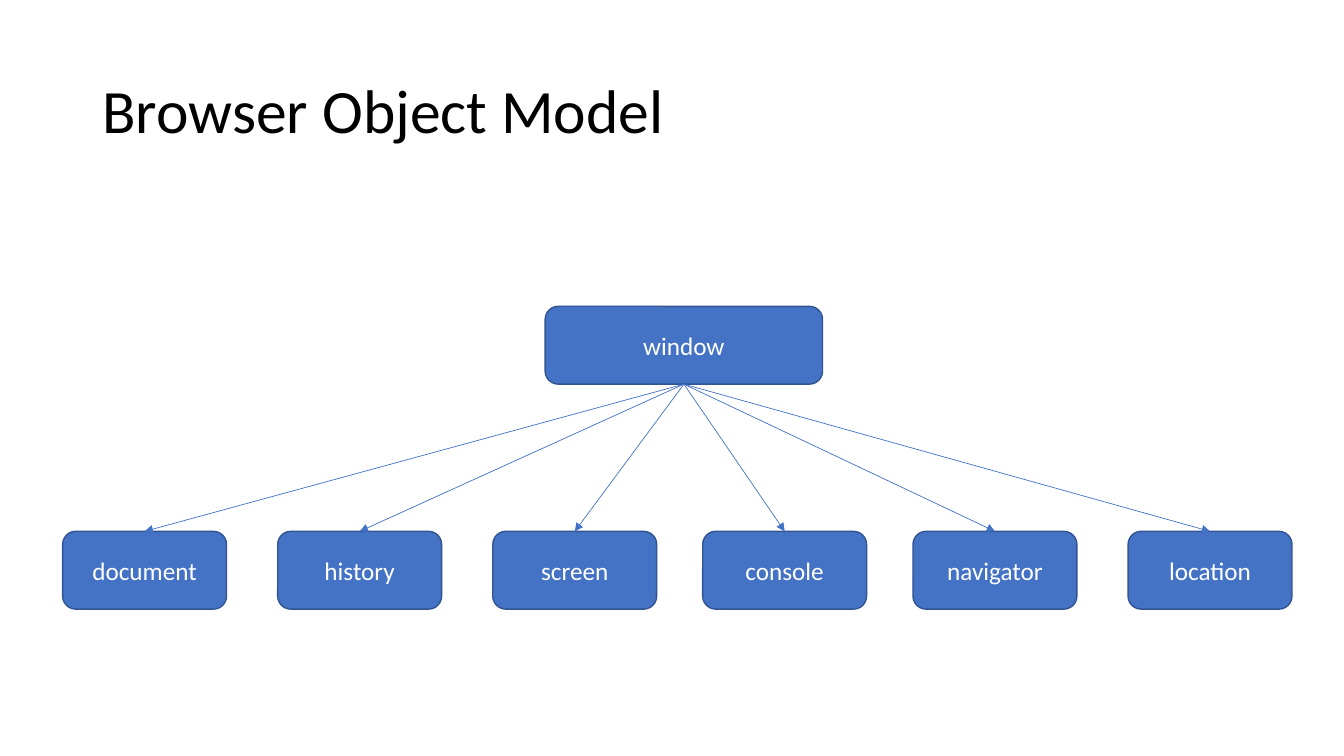
import lxml.etree
import pptx
import pptx.dml.color
import pptx.enum.shapes
import pptx.enum.text
import pptx.oxml.ns
import pptx.util
from pptx.util import Cm

BLUE = pptx.dml.color.RGBColor(0x44, 0x72, 0xC4)
DARK_BLUE = pptx.dml.color.RGBColor(0x32, 0x54, 0x91)
WHITE = pptx.dml.color.RGBColor(0xFF, 0xFF, 0xFF)
BLACK = pptx.dml.color.RGBColor(0x00, 0x00, 0x00)

CENTER = pptx.enum.text.PP_ALIGN.CENTER
LEFT = pptx.enum.text.PP_ALIGN.LEFT
MIDDLE = pptx.enum.text.MSO_ANCHOR.MIDDLE
FIXED = pptx.enum.text.MSO_AUTO_SIZE.NONE

FRAME_FORMAT = {"word_wrap": True, "auto_size": FIXED, "vertical_anchor": MIDDLE}
TITLE_PARAGRAPH = {"alignment": LEFT, "line_spacing": 0.9}
NODE_PARAGRAPH = {"alignment": CENTER}
TITLE_FONT = {"name": "Calibri", "size": pptx.util.Pt(44)}
NODE_FONT = {"name": "Calibri", "size": pptx.util.Pt(18)}

NODE_HEIGHT = Cm(1.96)
CHILD_WIDTH = Cm(4.13)
CHILD_OFFSETS = {
    "document": Cm(0),
    "history": Cm(5.42),
    "screen": Cm(10.84),
    "console": Cm(16.13),
    "navigator": Cm(21.43),
    "location": Cm(26.85),
}


def apply_format(target, values):
    for attribute, value in values.items():
        setattr(target, attribute, value)


def write_text(holder, wording, paragraph_format, font_format, color):
    frame = holder.text_frame
    frame.text = wording
    apply_format(frame, FRAME_FORMAT)
    paragraph = frame.paragraphs[0]
    apply_format(paragraph, paragraph_format)
    font = paragraph.runs[0].font
    apply_format(font, font_format)
    font.color.rgb = color


def place_title(slide, left, top, width, height):
    title = slide.shapes.title
    apply_format(title, {"left": left, "top": top, "width": width, "height": height})
    write_text(title, "Browser Object Model", TITLE_PARAGRAPH, TITLE_FONT, BLACK)


def add_node(slide, wording, left, top, width):
    node = slide.shapes.add_shape(
        pptx.enum.shapes.MSO_SHAPE.ROUNDED_RECTANGLE, left, top, width, NODE_HEIGHT
    )
    node.shadow.inherit = False
    node.fill.solid()
    node.fill.fore_color.rgb = BLUE
    node.line.color.rgb = DARK_BLUE
    node.line.width = pptx.util.Pt(1)
    write_text(node, wording, NODE_PARAGRAPH, NODE_FONT, WHITE)
    return node


def add_arrow(slide, parent, child):
    arrow = slide.shapes.add_connector(
        pptx.enum.shapes.MSO_CONNECTOR.STRAIGHT, 0, 0, 0, 0
    )
    arrow.begin_connect(parent, 2)
    arrow.end_connect(child, 0)
    arrow.line.color.rgb = BLUE
    arrow.line.width = pptx.util.Pt(0.5)
    properties = arrow.element.spPr
    outline = properties.find(pptx.oxml.ns.qn("a:ln"))
    lxml.etree.SubElement(outline, pptx.oxml.ns.qn("a:tailEnd"), type="triangle")
    lxml.etree.SubElement(properties, pptx.oxml.ns.qn("a:effectLst"))


def place_object_tree(slide, left, top, height):
    window = add_node(slide, "window", left + Cm(12.16), top, Cm(6.99))
    children_top = top + height - NODE_HEIGHT
    children = [
        add_node(slide, wording, left + offset, children_top, CHILD_WIDTH)
        for wording, offset in CHILD_OFFSETS.items()
    ]
    for child in children:
        add_arrow(slide, window, child)


def main():
    presentation = pptx.Presentation()
    presentation.slide_width = Cm(33.87)
    presentation.slide_height = Cm(19.05)
    slide = presentation.slides.add_slide(presentation.slide_layouts[5])
    place_title(slide, Cm(2.33), Cm(1.02), Cm(29.21), Cm(3.68))
    place_object_tree(slide, Cm(1.58), Cm(7.72), Cm(7.63))
    presentation.save("out.pptx")


if __name__ == "__main__":
    main()
